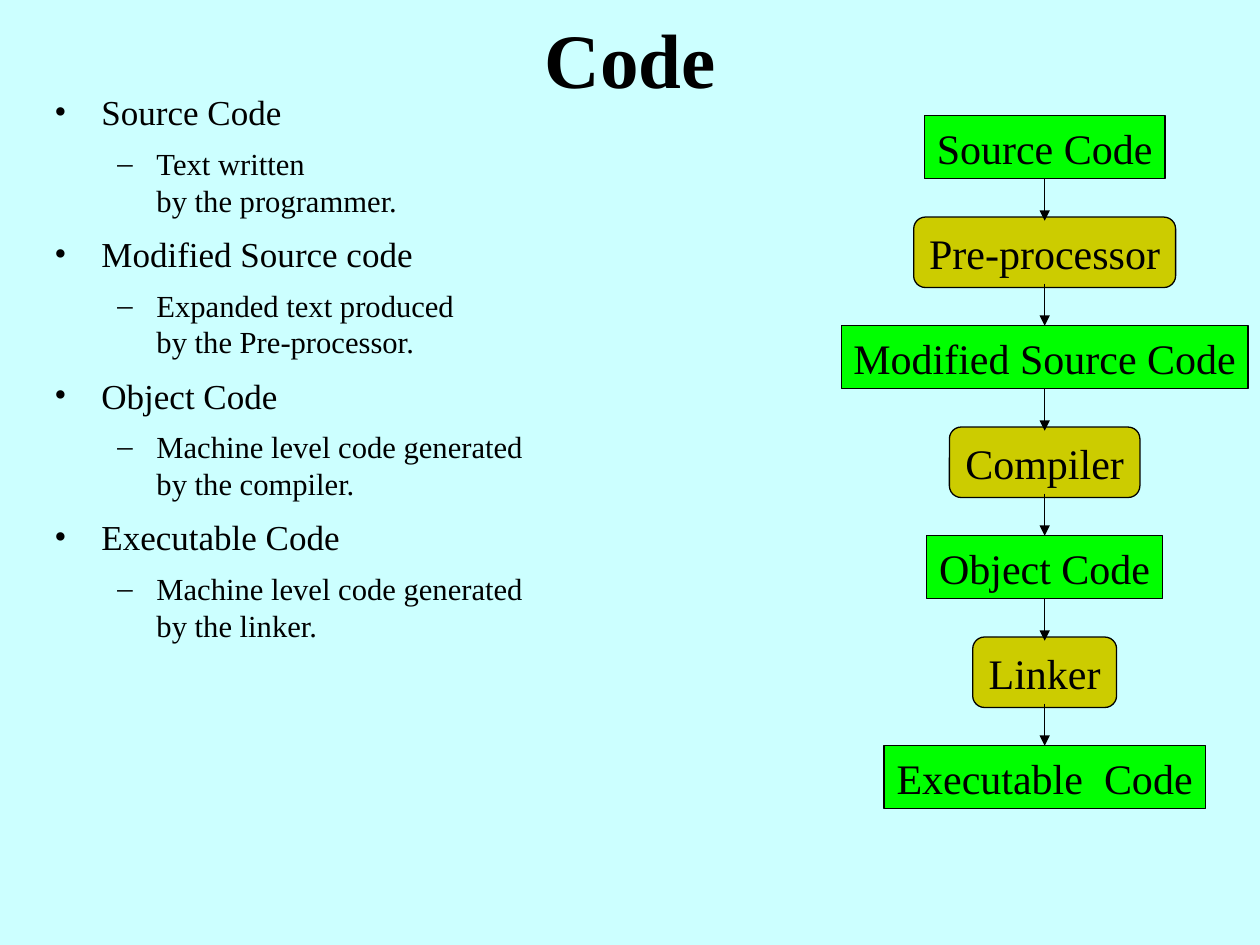
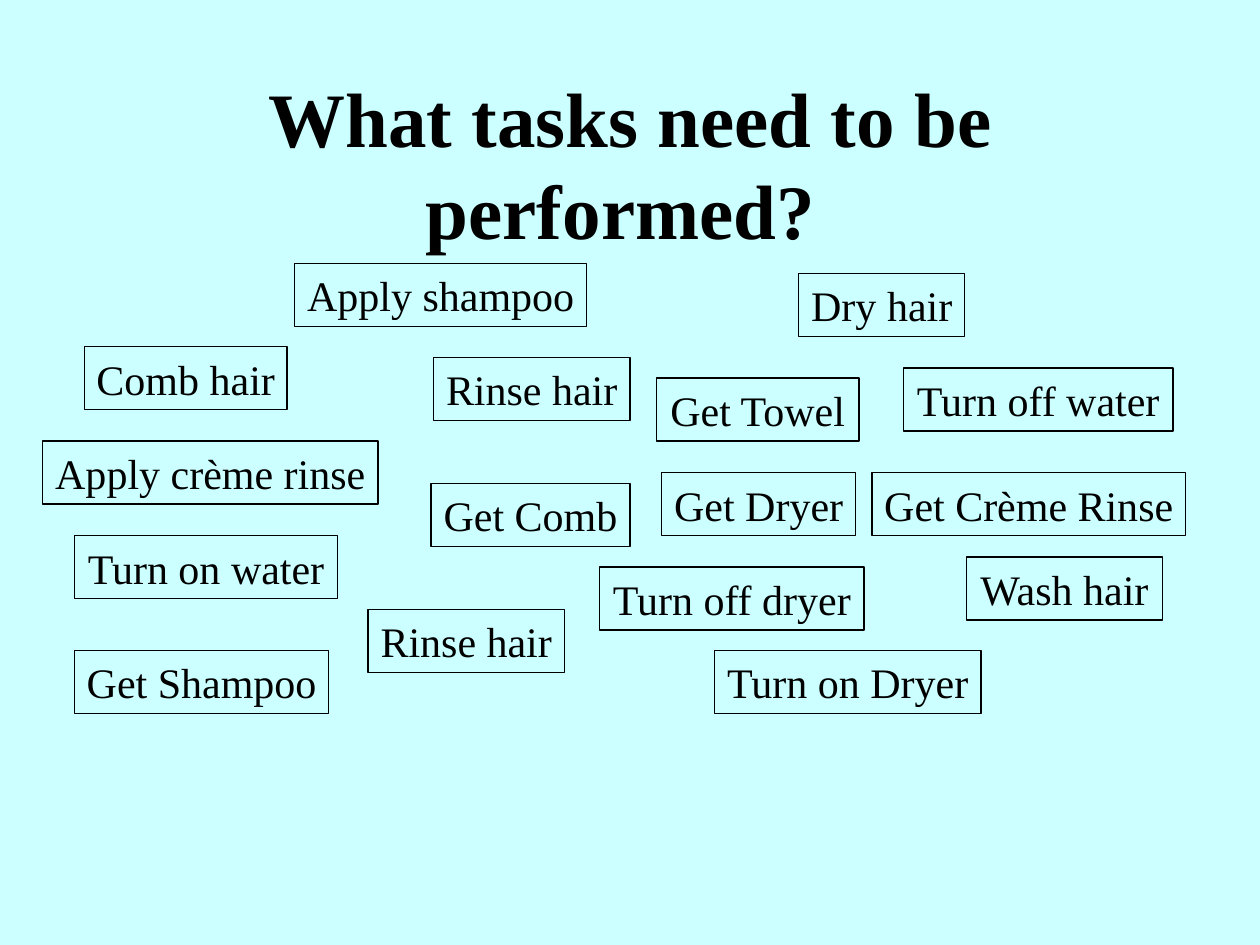
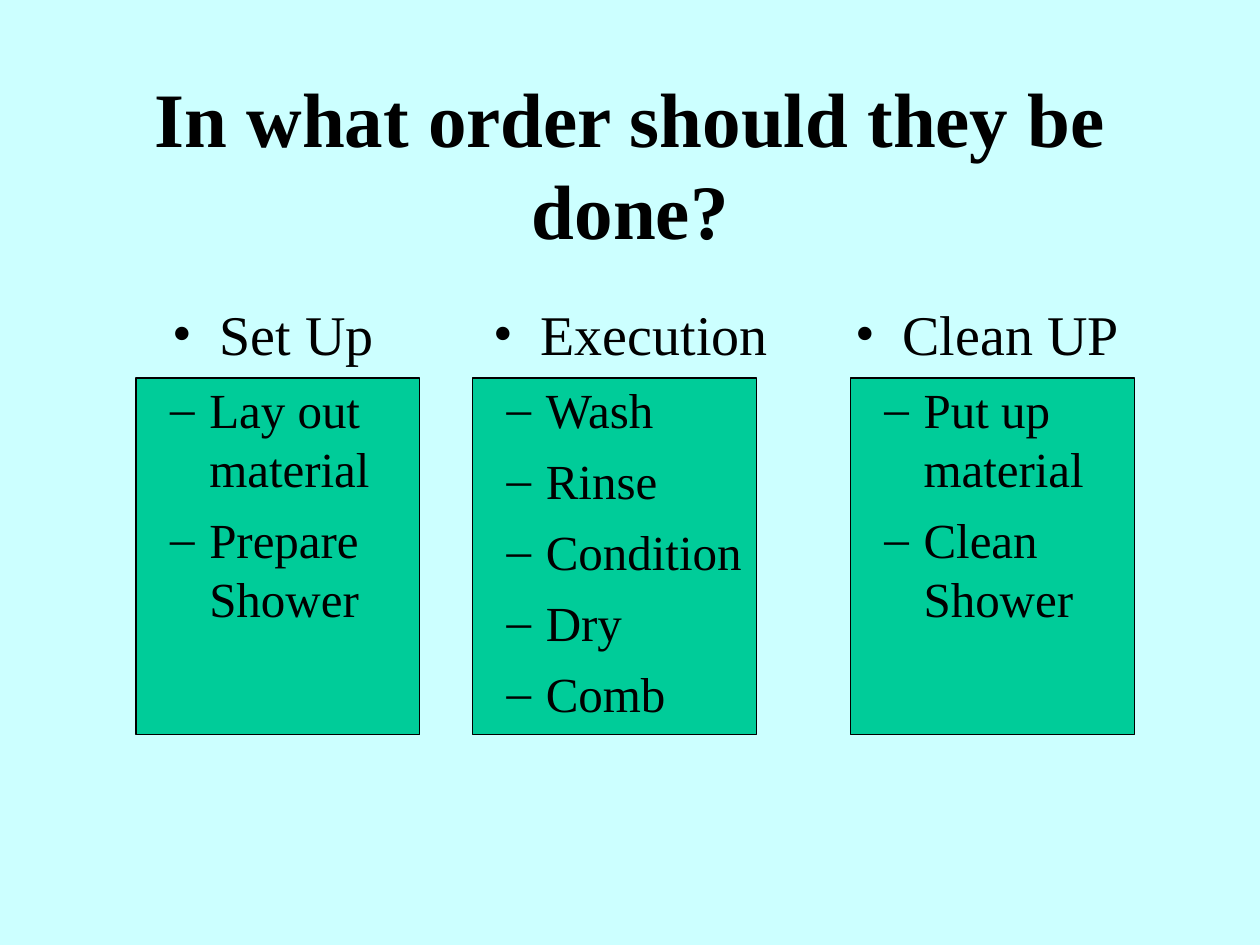
from dataclasses import dataclass

from lxml.etree import SubElement
from pptx import Presentation
from pptx.dml.color import RGBColor as RGB
from pptx.enum.shapes import MSO_CONNECTOR as LINE, MSO_SHAPE as SHAPE
from pptx.enum.text import MSO_ANCHOR as ANCHOR, MSO_AUTO_SIZE as FIT, PP_ALIGN as ALIGN
from pptx.oxml.ns import qn
from pptx.util import Cm, Pt


@dataclass(frozen=True)
class Theme:
    background: RGB = RGB(0xCC, 0xFF, 0xFF)
    ink: RGB = RGB(0, 0, 0)
    code: RGB = RGB(0, 0xFF, 0)
    tool: RGB = RGB(0xCC, 0xCC, 0)
    phase: RGB = RGB(0, 0xCC, 0x99)
    font: str = "Times New Roman"
    title: float = 44
    label: float = 24
    small_list: tuple = (20, 17.5)
    large_list: tuple = (32, 28)
    outline: float = 0.75


theme = Theme()
TITLE_FONT = {"name": theme.font, "size": Pt(theme.title), "bold": True}
LABEL_FONT = {"name": theme.font, "size": Pt(theme.label)}
# Narrow side margins keep each label on one line
LABEL_FRAME = {"word_wrap": False, "auto_size": FIT.NONE, "vertical_anchor": ANCHOR.MIDDLE,
               "margin_left": Cm(0.1), "margin_right": Cm(0.1)}
# Per level: bullet, text indent, hanging indent, space before
LEVELS = [("•", Cm(0.95), Cm(-0.95), Pt(8)), ("–", Cm(2.06), Cm(-0.79), Pt(7))]


def fill_list(frame, items, sizes, heading_align):
    """Write (level, text) items as bulleted paragraphs."""
    frame.word_wrap, frame.auto_size = True, FIT.NONE
    for index, (level, text) in enumerate(items):
        item = frame.paragraphs[0] if index == 0 else frame.add_paragraph()
        bullet, margin, hanging, gap = LEVELS[level]
        formats = {"text": text, "level": level, "space_before": gap,
                   "alignment": ALIGN.LEFT if level else heading_align}
        for key, value in formats.items():
            setattr(item, key, value)
        for run in item.runs:
            run.font.name, run.font.size = theme.font, Pt(sizes[level])
            run.font.color.rgb = theme.ink
        for line_break in item._p.findall(qn("a:br")):
            SubElement(line_break, qn("a:rPr"), sz=str(int(sizes[level] * 100)))
        props = item._p.get_or_add_pPr()
        props.set("marL", str(margin))
        props.set("indent", str(hanging))
        bullet_color = SubElement(props, qn("a:buClr"))
        SubElement(bullet_color, qn("a:srgbClr"), val=str(theme.ink))
        SubElement(props, qn("a:buFont"), typeface=theme.font)
        SubElement(props, qn("a:buChar"), char=bullet)


def add_box(slide, place, text="", color=None, kind=SHAPE.RECTANGLE):
    """Add an outlined box, with a centred label if there is text."""
    box = slide.shapes.add_shape(kind, *map(Cm, place))
    box.shadow.inherit = False
    if color is None:
        box.fill.background()
    else:
        box.fill.solid()
        box.fill.fore_color.rgb = color
    box.line.color.rgb, box.line.width = theme.ink, Pt(theme.outline)
    if text:
        for key, value in LABEL_FRAME.items():
            setattr(box.text_frame, key, value)
        label = box.text_frame.paragraphs[0]
        label.text, label.alignment = text, ALIGN.CENTER
        for key, value in LABEL_FONT.items():
            setattr(label.runs[0].font, key, value)
        label.runs[0].font.color.rgb = theme.ink
    return box


prs = Presentation()
prs.slide_width, prs.slide_height = Cm(25.4), Cm(19.05)
prs.slide_master.background.fill.solid()
prs.slide_master.background.fill.fore_color.rgb = theme.background

# Slides and titles: text, layout, top, height
slides = []
for heading, layout, top, height in [
    ("Code", 1, 0.2, 1.91),
    ("What tasks need to be performed? ", 5, 1.69, 3.18),
    ("In what order should they be done?", 1, 1.69, 3.18),
]:
    slide = prs.slides.add_slide(prs.slide_layouts[layout])
    title = slide.shapes.title
    title.left, title.top, title.width, title.height = map(Cm, (1.91, top, 21.59, height))
    frame = title.text_frame
    frame.text = heading
    frame.auto_size, frame.vertical_anchor = FIT.NONE, ANCHOR.MIDDLE
    frame.paragraphs[0].alignment = ALIGN.CENTER
    font = frame.paragraphs[0].runs[0].font
    for key, value in TITLE_FONT.items():
        setattr(font, key, value)
    font.color.rgb = theme.ink
    slides.append(slide)
code_slide, tasks_slide, order_slide = slides

# Code: definitions
definitions = code_slide.placeholders[1]
definitions.left, definitions.top, definitions.width, definitions.height = map(
    Cm, (0.84, 1.7, 15.67, 11.63))
fill_list(definitions.text_frame, [
    (0, "Source Code"), (1, "Text written \nby the programmer."),
    (0, "Modified Source code"), (1, "Expanded text produced \nby the Pre-processor."),
    (0, "Object Code"), (1, "Machine level code generated \nby the compiler."),
    (0, "Executable Code"), (1, "Machine level code generated\nby the linker."),
], theme.small_list, ALIGN.LEFT)

# Code: build chain, alternating code and tool
STAGES = [("Source Code", 4.85), ("Pre-processor", 5.28), ("Modified Source Code", 8.2),
          ("Compiler", 3.84), ("Object Code", 4.75), ("Linker", 2.9),
          ("Executable  Code", 6.48)]
AXIS, FIRST_MIDDLE, STEP = 21.06, 2.97, 12.7 / 6
for index, (stage, width) in enumerate(STAGES):
    is_tool = index % 2 == 1
    height = 1.42 if is_tool else 1.27
    place = (AXIS - width / 2, FIRST_MIDDLE + index * STEP - height / 2, width, height)
    if is_tool:
        add_box(code_slide, place, stage, theme.tool, SHAPE.FLOWCHART_ALTERNATE_PROCESS)
    else:
        add_box(code_slide, place, stage, theme.code)

for index in range(len(STAGES) - 1):
    start = 3.6 + index * STEP
    arrow = code_slide.shapes.add_connector(
        LINE.STRAIGHT, Cm(AXIS), Cm(start), Cm(AXIS), Cm(start + 0.85))
    arrow.line.color.rgb, arrow.line.width = theme.ink, Pt(theme.outline)
    arrow_props = arrow._element.spPr
    SubElement(arrow_props.find(qn("a:ln")), qn("a:tailEnd"), type="triangle")
    SubElement(arrow_props, qn("a:effectLst"))

# Tasks: scattered cards as text, left, top, width
for task, left, top, width in [
    ("Get Shampoo", 1.5, 13.11, 5.13),
    ("Wash hair", 19.48, 11.23, 3.96),
    ("Turn on Dryer", 14.4, 13.11, 5.38),
    ("Turn off water", 18.21, 7.42, 5.44),
    ("Turn off dryer", 12.09, 11.43, 5.33),
    ("Turn on water", 1.5, 10.8, 5.31),
    ("Get Comb", 8.69, 9.75, 4.01),
    ("Get Crème Rinse", 17.58, 9.53, 6.32),
    ("Get Dryer", 13.34, 9.53, 3.91),
    ("Get Towel", 13.23, 7.62, 4.09),
    ("Apply crème rinse", 0.86, 8.89, 6.76),
    ("Apply shampoo", 5.94, 5.31, 5.89),
    ("Rinse hair", 8.74, 7.21, 3.96),
    ("Rinse hair", 7.42, 12.29, 3.96),
    ("Comb hair", 1.7, 6.99, 4.09),
    ("Dry hair", 16.1, 5.51, 3.35),
]:
    add_box(tasks_slide, (left, top, width, 1.27), task)

# Order: phases as panel left, list left, list width, heading, steps
for panel_left, left, width, phase, steps in [
    (9.53, 8.69, 8.05, "Execution", ["Wash", "Rinse", "Condition", "Dry", "Comb"]),
    (17.15, 16.31, 7.19, "Clean UP", ["Put up material", "Clean Shower"]),
    (2.74, 1.91, 7.19, "Set Up", ["Lay out\nmaterial", "Prepare \nShower"]),
]:
    panel = add_box(order_slide, (panel_left, 7.62, 5.72, 7.19), color=theme.phase)
    order_slide.shapes._spTree.insert(2, panel._element)  # behind the text
    place = [Cm(value) for value in (left, 5.92, width, 11.43)]
    if phase == "Execution":
        phase_list = order_slide.placeholders[1]
        phase_list.left, phase_list.top, phase_list.width, phase_list.height = place
    else:
        phase_list = order_slide.shapes.add_textbox(*place)
    fill_list(phase_list.text_frame, [(0, phase)] + [(1, step) for step in steps],
              theme.large_list, ALIGN.CENTER)

prs.save("out.pptx")
